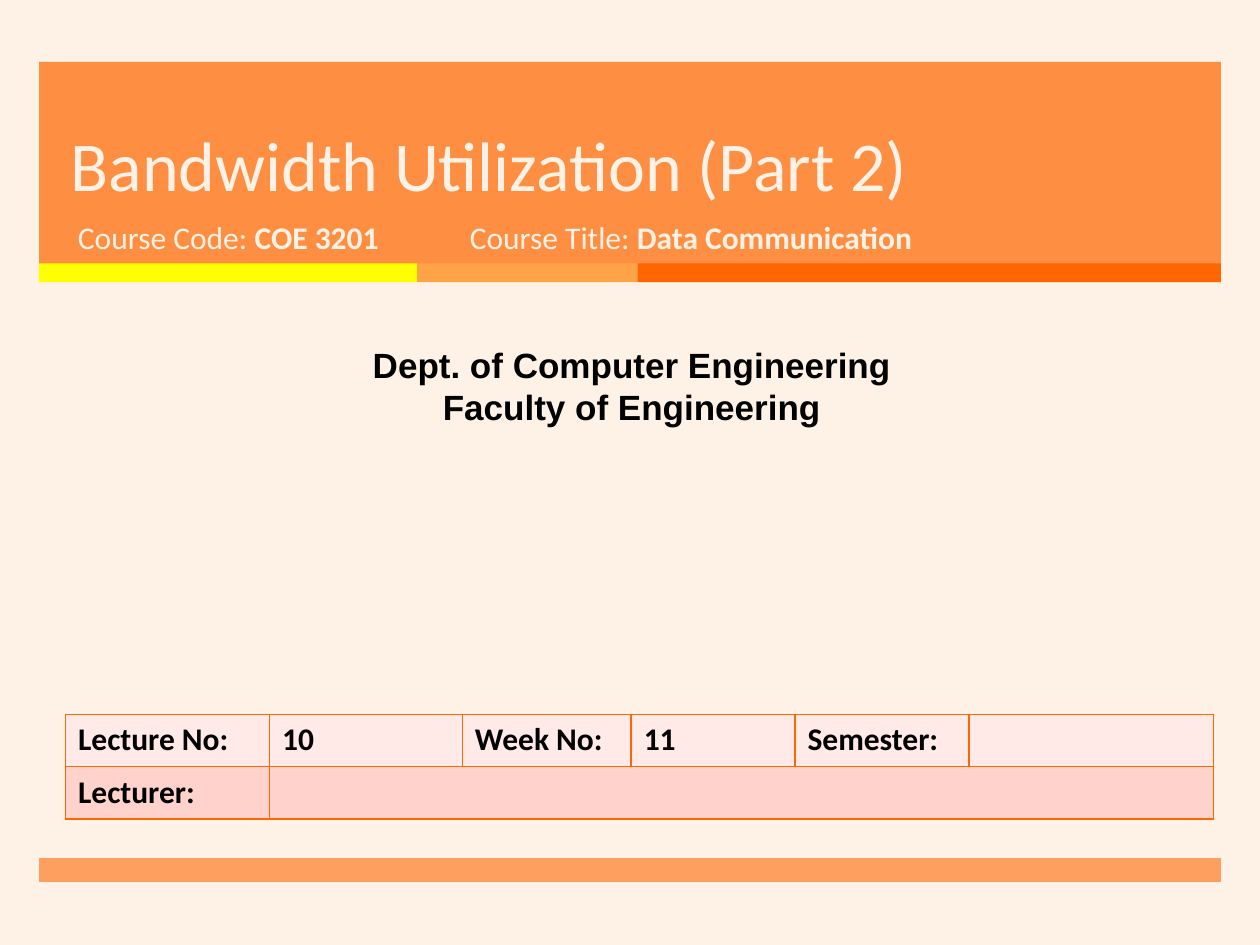
from lxml import etree
from pptx import Presentation
from pptx.dml.color import RGBColor
from pptx.enum.shapes import MSO_SHAPE
from pptx.enum.text import MSO_ANCHOR, PP_ALIGN
from pptx.oxml.ns import qn
from pptx.util import Inches, Pt

RECTANGLE = MSO_SHAPE.RECTANGLE
BOTTOM, TOP = MSO_ANCHOR.BOTTOM, MSO_ANCHOR.TOP
LEFT, CENTER = PP_ALIGN.LEFT, PP_ALIGN.CENTER

CREAM, BLACK = "FEF2E6", "000000"
ORANGE, SOFT_ORANGE = "FF6600", "FF7D26"
MARGIN, BAND_WIDTH = 0.31, 9.38
STRIPES = [(3, "FFFF00"), (1.75, "FFA347"), (4.63, ORANGE)]

COLUMNS = [1.62, 1.53, 1.34, 1.3, 1.38, 1.94]
ROW_HEIGHT = 0.415
ROWS = [
    (["Lecture No:", "10", "Week No:", "11", "Semester:", ""], "FFEAE7"),
    (["Lecturer:"] + [""] * 5, "FFD3CC"),
]


def paint(fill, color):
    fill.solid()
    fill.fore_color.rgb = RGBColor.from_string(color)


def add_band(page, left, top, width, height, color, opacity=100):
    band = page.shapes.add_shape(
        RECTANGLE, Inches(left), Inches(top), Inches(width), Inches(height))
    band.shadow.inherit = False
    band.line.fill.background()
    paint(band.fill, color)
    if opacity < 100:
        tint = band.fill._xPr.find(".//" + qn("a:srgbClr"))
        etree.SubElement(tint, qn("a:alpha")).set("val", str(opacity * 1000))


def style_span(span, size, color, font="Calibri", bold=False):
    span.font.name = font
    span.font.size = Pt(size)
    span.font.bold = bold
    paint(span.font.fill, color)


def add_text_box(page, left, top, width, height):
    box = page.shapes.add_textbox(
        Inches(left), Inches(top), Inches(width), Inches(height))
    box.text_frame.word_wrap = True
    return box.text_frame


def add_course_label(page, left, width, label, value):
    para = add_text_box(page, left, 1.68, width, 0.53).paragraphs[0]
    for text, bold in ((label, False), (value, True)):
        span = para.add_run()
        span.text = text
        style_span(span, 18, CREAM, bold=bold)


def add_department(page):
    frame = add_text_box(page, 0.08, 2.68, 9.87, 0.77)
    frame.text = "Dept. of Computer Engineering\nFaculty of Engineering"
    for para in frame.paragraphs:
        para.alignment = CENTER
        style_span(para.runs[0], 20, BLACK, "Arial", True)


def place_title(page, text):
    title = page.shapes.title
    title.left, title.top = Inches(0.46), Inches(0.49)
    title.width, title.height = Inches(8.54), Inches(1.19)
    frame = title.text_frame
    frame.text = text
    frame.vertical_anchor = BOTTOM
    para = frame.paragraphs[0]
    para.alignment = LEFT
    para.line_spacing = Pt(46)
    style_span(para.runs[0], 40, CREAM)
    # Bring the title in front of the header band
    page.shapes._spTree.append(title._element)


def add_borders(cell, color, width):
    properties = cell._tc.get_or_add_tcPr()
    for index, side in enumerate(("a:lnL", "a:lnR", "a:lnT", "a:lnB")):
        line = etree.Element(qn(side), w=str(Pt(width)))
        solid = etree.SubElement(line, qn("a:solidFill"))
        etree.SubElement(solid, qn("a:srgbClr"), val=color)
        properties.insert(index, line)


def add_lecture_table(page):
    table = page.shapes.add_table(
        len(ROWS), len(COLUMNS), Inches(0.52), Inches(5.67),
        Inches(sum(COLUMNS)), Inches(ROW_HEIGHT * len(ROWS))).table
    for column, width in zip(table.columns, COLUMNS):
        column.width = Inches(width)
    for row, (texts, color) in zip(table.rows, ROWS):
        row.height = Inches(ROW_HEIGHT)
        for cell, text in zip(row.cells, texts):
            cell.vertical_anchor = TOP
            paint(cell.fill, color)
            add_borders(cell, ORANGE, 1)
            if text:
                cell.text = text
                style_span(cell.text_frame.paragraphs[0].runs[0],
                           18, BLACK, bold=True)
    # The lecturer's name spans the rest of its row
    table.cell(1, 1).merge(table.cell(1, len(COLUMNS) - 1))


def main():
    deck = Presentation()
    deck.slide_width, deck.slide_height = Inches(10), Inches(7.5)
    page = deck.slides.add_slide(deck.slide_layouts[5])
    paint(page.background.fill, CREAM)

    # Header band, stripes and footer band
    add_band(page, MARGIN, 0.49, BAND_WIDTH, 1.61, SOFT_ORANGE, 85)
    left = MARGIN
    for width, color in STRIPES:
        add_band(page, left, 2.09, width, 0.15, color)
        left += width
    add_band(page, MARGIN, 6.81, BAND_WIDTH, 0.19, SOFT_ORANGE, 70)

    # Title and course details
    place_title(page, "Bandwidth Utilization (Part 2)")
    add_course_label(page, 0.52, 3.05, "Course Code: ", "COE 3201")
    add_course_label(page, 3.63, 4.55, "Course Title: ", "Data Communication")

    # Department and lecture details
    add_department(page)
    add_lecture_table(page)
    deck.save("out.pptx")


if __name__ == "__main__":
    main()
